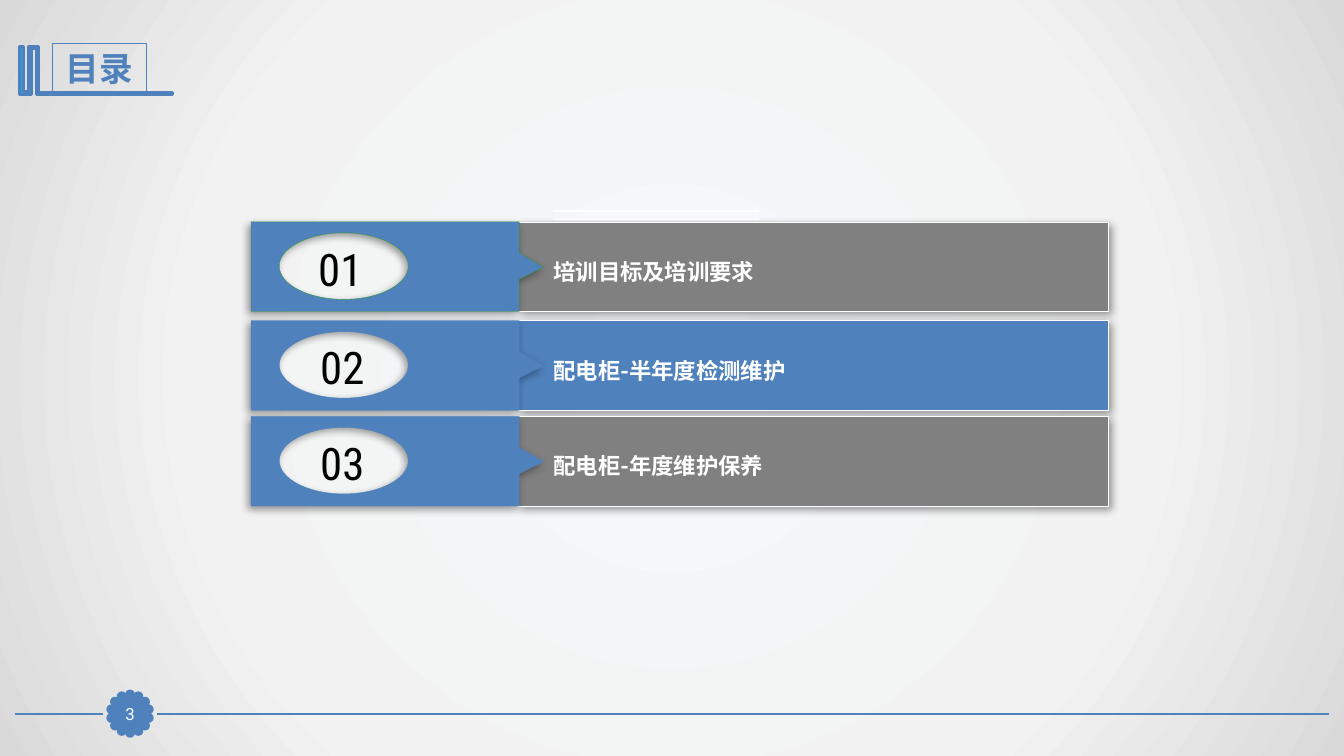
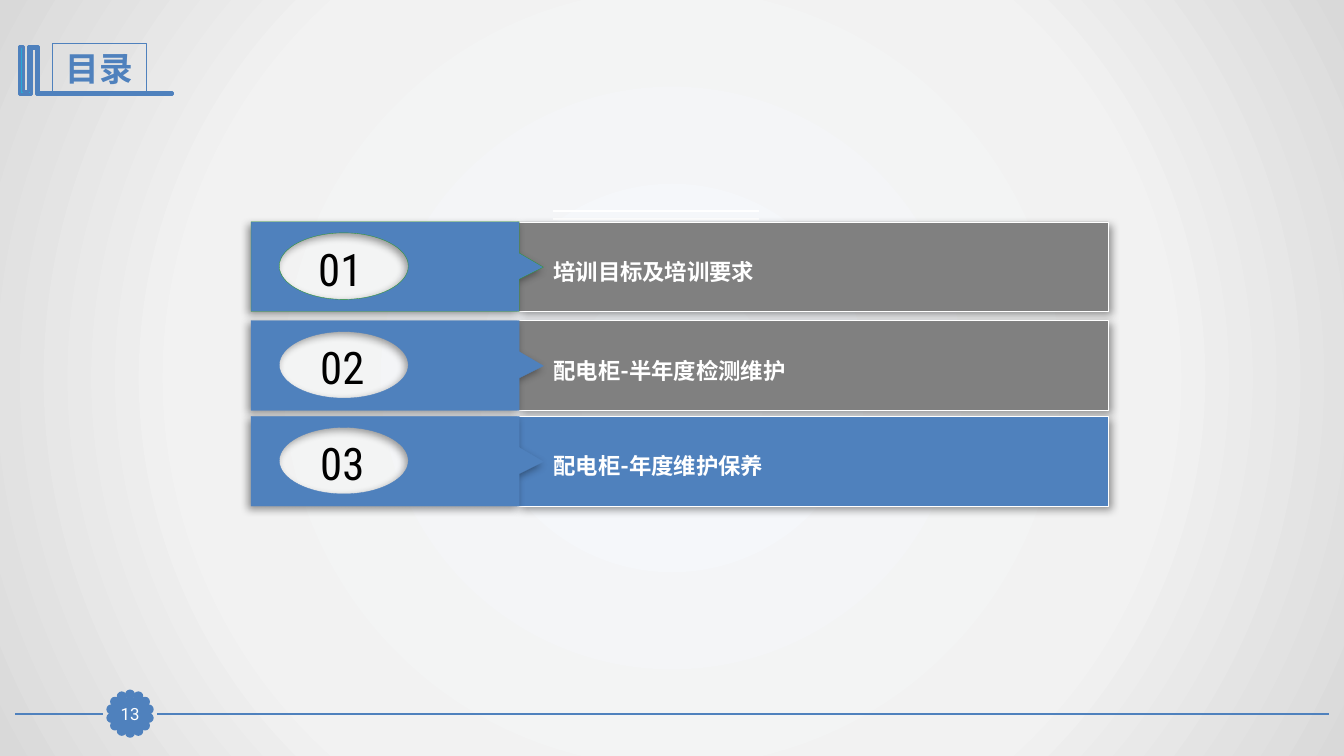
from math import cos, pi, sin

from lxml import etree
from pptx import Presentation
from pptx.dml.color import RGBColor
from pptx.enum.shapes import MSO_CONNECTOR, MSO_SHAPE
from pptx.enum.text import MSO_ANCHOR, MSO_AUTO_SIZE, PP_ALIGN
from pptx.oxml import parse_xml
from pptx.oxml.ns import nsdecls, qn
from pptx.util import Inches, Pt

BLUE, GRAY, WHITE, BLACK = "4F81BD", "808080", "FFFFFF", "000000"
GREEN, CYAN = "339933", "28A9D6"
BACKGROUND_STOPS = [(0, "F6F9FC"), (63, "F2F2F2"), (100, "D9D9D9")]

TITLE_FONT = {"name": "Roboto Condensed", "size": Pt(24), "bold": True}
PAGE_FONT = {"name": "Roboto", "size": Pt(12), "bold": False}
NUMBER_FONT = {"name": "Roboto Condensed", "size": Pt(32), "bold": False}
TOPIC_FONT = {"name": "Roboto", "size": Pt(16), "bold": True}

# Number, its left edge, topic, offset from the top of the list, tag outline
TOPICS = [
    ("01", 0.38, "培训目标及培训要求", 0, GREEN),
    ("02", 0.4, "配电柜-半年度检测维护", 0.98, BLUE),
    ("03", 0.4, "配电柜-年度维护保养", 1.93, BLUE),
]
# Page number and index of the highlighted topic
PAGES = [(3, 1), (13, 2)]


def rgb(color):
    return RGBColor.from_string(color)


def paint(shape, fill, line, width):
    shape.shadow.inherit = False
    if fill:
        shape.fill.solid()
        shape.fill.fore_color.rgb = rgb(fill)
    else:
        shape.fill.background()
    shape.line.color.rgb = rgb(line)
    shape.line.width = Pt(width)


def cast_shadow(shape, angle):
    effects = shape._element.spPr.find(qn("a:effectLst"))
    effects.append(parse_xml(
        f'<a:outerShdw {nsdecls("a")} blurRad="{Pt(6)}" dist="{Pt(3)}" '
        f'dir="{angle * 60000}" algn="ctr" rotWithShape="0">'
        f'<a:srgbClr val="{BLACK}"><a:alpha val="40000"/></a:srgbClr></a:outerShdw>'))


def write(shape, text, font, color, align=PP_ALIGN.CENTER, anchor=MSO_ANCHOR.MIDDLE,
          auto_size=MSO_AUTO_SIZE.NONE, inset=(0.1, 0.05)):
    frame = shape.text_frame
    frame.text = text
    across, down = map(Inches, inset)
    settings = {"word_wrap": True, "auto_size": auto_size, "vertical_anchor": anchor,
                "margin_left": across, "margin_right": across,
                "margin_top": down, "margin_bottom": down}
    for key, value in settings.items():
        setattr(frame, key, value)
    paragraph = frame.paragraphs[0]
    paragraph.alignment = align
    run_font = paragraph.runs[0].font
    for key, value in font.items():
        setattr(run_font, key, value)
    run_font.color.rgb = rgb(color)


def add_box(slide, kind, left, top, width, height, fill, line, weight):
    box = slide.shapes.add_shape(kind, *map(Inches, (left, top, width, height)))
    paint(box, fill, line, weight)
    return box


def add_rule(slide, left, right, y, color, weight):
    rule = slide.shapes.add_connector(
        MSO_CONNECTOR.STRAIGHT, *map(Inches, (left, y, right, y)))
    rule.line.color.rgb = rgb(color)
    rule.line.width = Pt(weight)
    etree.SubElement(rule._element.spPr, qn("a:effectLst"))


def add_outline(slide, left, top, points, fill, line, weight):
    """Draw a closed outline whose points are relative to left and top."""
    placed = [(Inches(left + x), Inches(top + y)) for x, y in points]
    builder = slide.shapes.build_freeform(*placed[0])
    builder.add_line_segments(placed[1:], close=True)
    outline = builder.convert_to_shape()
    paint(outline, fill, line, weight)
    return outline


def cut_oval(outline, x, y, rx, ry):
    """Cut an oval window, centred on x and y, out of a freeform."""
    contour = outline._element.spPr.find(".//" + qn("a:path"))
    k = 0.55

    def add_step(tag, points):
        step = etree.SubElement(contour, qn(tag))
        for dx, dy in points:
            etree.SubElement(step, qn("a:pt"), x=str(Inches(x + rx * dx)),
                             y=str(Inches(y + ry * dy)))

    add_step("a:moveTo", [(0, -1)])
    add_step("a:cubicBezTo", [(-k, -1), (-1, -k), (-1, 0)])
    add_step("a:cubicBezTo", [(-1, k), (-k, 1), (0, 1)])
    add_step("a:cubicBezTo", [(k, 1), (1, k), (1, 0)])
    add_step("a:cubicBezTo", [(1, -k), (k, -1), (0, -1)])
    add_step("a:close", [])


def set_background(master):
    master.background.fill.solid()
    solid = master.element.find(".//" + qn("p:bgPr")).find(qn("a:solidFill"))
    stops = "".join(f'<a:gs pos="{at * 1000}"><a:srgbClr val="{color}"/></a:gs>'
                    for at, color in BACKGROUND_STOPS)
    solid.getparent().replace(solid, parse_xml(
        f'<a:gradFill {nsdecls("a")} rotWithShape="1"><a:gsLst>{stops}</a:gsLst>'
        '<a:path path="circle"><a:fillToRect l="50000" t="50000" r="50000" b="50000"/>'
        '</a:path></a:gradFill>'))


def add_footer_band(slide, left, right, y):
    add_rule(slide, left + 1.41, right, y, BLUE, 1.25)
    add_rule(slide, left, left + 0.87, y, BLUE, 1.25)
    # Scalloped seal: a ring of dots
    radius, dot, count = 0.19, 0.07, 14
    for i in range(count):
        angle = 2 * pi * i / count
        add_box(slide, MSO_SHAPE.OVAL, left + 1.14 + radius * sin(angle) - dot / 2,
                y - radius * cos(angle) - dot / 2, dot, dot, BLUE, BLUE, 2)


def add_title_bracket(slide, left, top):
    bracket = [(0, 0), (0.04, 0), (0.04, 0.45), (0.09, 0.45), (0.09, 0), (0.19, 0),
               (0.19, 0.46), (1.52, 0.46), (1.52, 0.48), (0.17, 0.48), (0.17, 0.02),
               (0.12, 0.02), (0.12, 0.48), (0, 0.48)]
    add_outline(slide, left, top, bracket, CYAN, BLUE, 2)


def move_to_layout(slide):
    """Hand the drawn parts of a slide to its layout, so all slides share them."""
    layout = slide.slide_layout
    for holder in list(layout.placeholders):
        if holder.placeholder_format.idx != 0:
            holder._element.getparent().remove(holder._element)
    for part in list(slide.shapes):
        if not part.is_placeholder:
            layout.shapes._spTree.append(part._element)


def set_title(slide, left, top, text):
    title = slide.shapes.title
    bounds = {"left": left, "top": top, "width": 0.93, "height": 0.5}
    for key, value in bounds.items():
        setattr(title, key, Inches(value))
    paint(title, None, BLUE, 0.75)
    write(title, text, TITLE_FONT, BLUE)


def add_page_number(slide, left, top, page):
    number = add_box(slide, MSO_SHAPE.RECTANGLE, left, top, 0.32, 0.31, BLUE, BLUE, 0.75)
    write(number, str(page), PAGE_FONT, WHITE, inset=(0, 0))


def add_topic(slide, left, top, number, number_left, topic, outline, highlighted):
    height, tip = 0.89, 2.9
    # Topic bar
    bar = add_box(slide, MSO_SHAPE.RECTANGLE, left + 2.64, top, 5.86, height,
                  BLUE if highlighted else GRAY, WHITE, 0.25)
    cast_shadow(bar, 45)
    # Pointed tag with an oval window
    edge = [(0, 0), (2.66, 0), (2.66, 0.31), (tip, 0.45), (2.66, 0.57),
            (2.66, height), (0, height)]
    tag = add_outline(slide, left, top, edge, BLUE, outline, 0.25)
    cut_oval(tag, 0.92, 0.44, 0.64, 0.33)
    cast_shadow(tag, 135)
    # Number and topic
    grow = MSO_AUTO_SIZE.SHAPE_TO_FIT_TEXT
    number_box = slide.shapes.add_textbox(
        *map(Inches, (left + number_left, top + 0.14, 1.01, 0.64)))
    write(number_box, number, NUMBER_FONT, BLACK, auto_size=grow)
    label = slide.shapes.add_textbox(*map(Inches, (left + tip, top + 0.31, 5.61, 0.37)))
    write(label, topic, TOPIC_FONT, WHITE, PP_ALIGN.LEFT, MSO_ANCHOR.TOP, grow)


def add_agenda(slide, left, top, highlight):
    # Thin double rule above the list
    for gap in (0.11, 0.03):
        add_rule(slide, left + 2.99, left + 5.04, top - gap, WHITE, 1.5)
    for index, (number, number_left, topic, offset, outline) in enumerate(TOPICS):
        add_topic(slide, left, top + offset, number, number_left, topic, outline,
                  index == highlight)


def add_agenda_slide(prs, page, highlight, first):
    slide = prs.slides.add_slide(prs.slide_layouts[5])
    if first:
        add_footer_band(slide, 0.15, 13.18, 7.08)
        add_title_bracket(slide, 0.19, 0.46)
        move_to_layout(slide)
    set_title(slide, 0.52, 0.43, "目录")
    add_page_number(slide, 1.13, 6.93, page)
    add_agenda(slide, 2.49, 2.2, highlight)


def main():
    prs = Presentation()
    prs.slide_width, prs.slide_height = Inches(13.33), Inches(7.5)
    set_background(prs.slide_master)
    for index, (page, highlight) in enumerate(PAGES):
        add_agenda_slide(prs, page, highlight, first=index == 0)
    prs.save("out.pptx")


if __name__ == "__main__":
    main()
